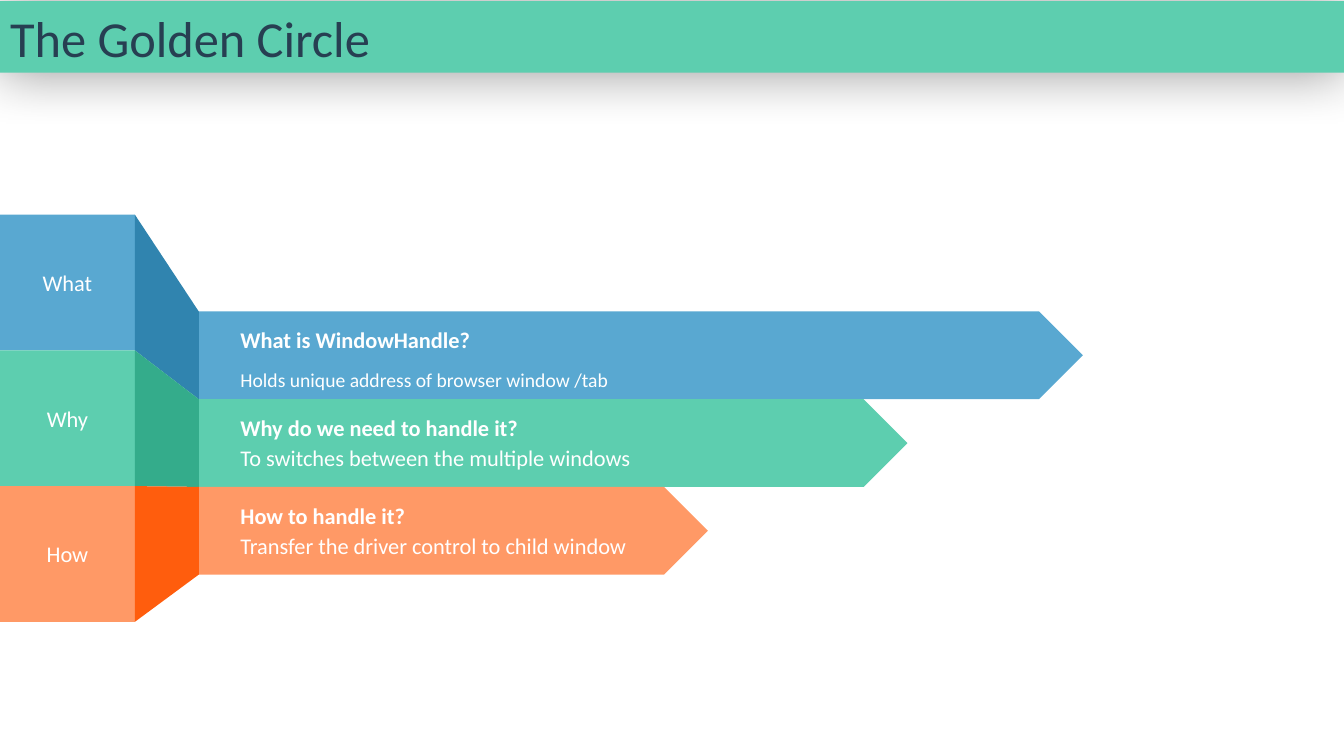
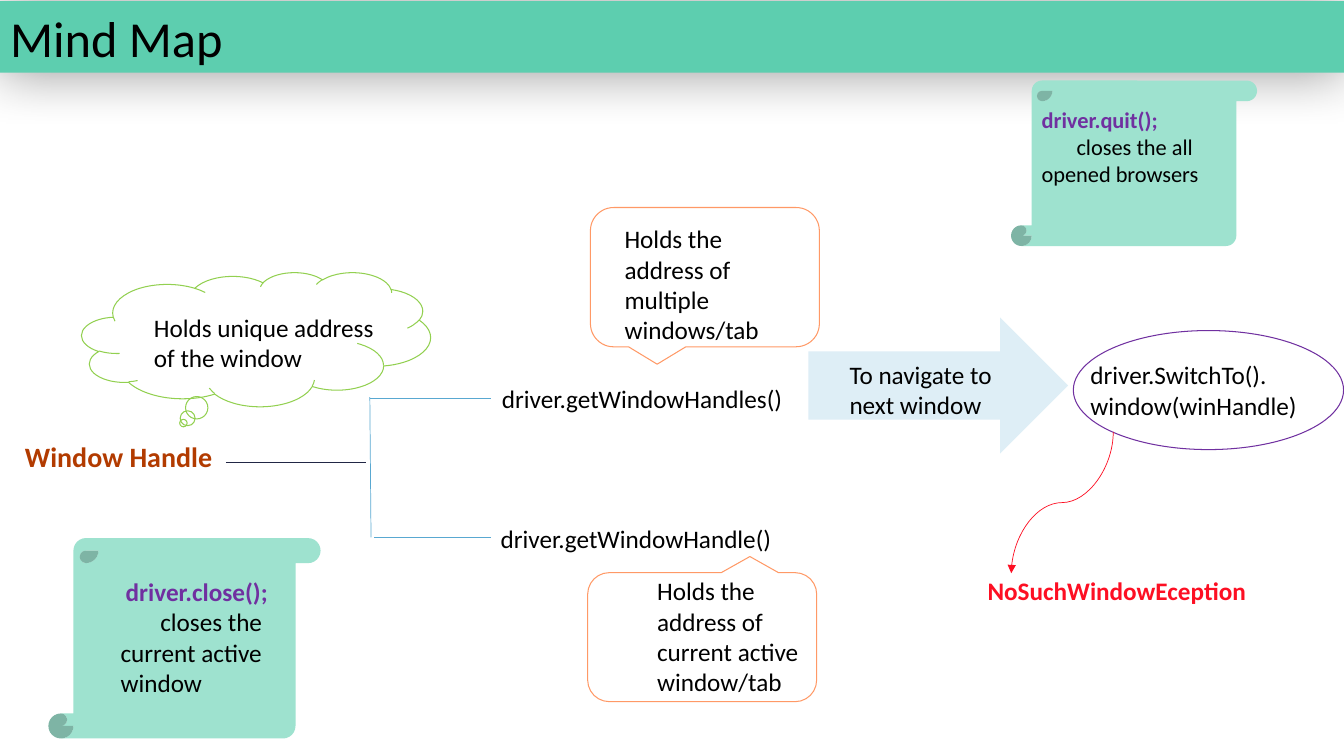
from dataclasses import dataclass
from typing import NamedTuple, Optional

import lxml.etree
import pptx
import pptx.dml.color
import pptx.enum.shapes
import pptx.enum.text
import pptx.oxml.ns
import pptx.presentation
import pptx.shapes.autoshape
import pptx.shapes.base
import pptx.shapes.connector
import pptx.slide
import pptx.text.text
import pptx.util

Cm = pptx.util.Cm
Pt = pptx.util.Pt
qn = pptx.oxml.ns.qn
FORM = pptx.enum.shapes.MSO_SHAPE
LINK = pptx.enum.shapes.MSO_CONNECTOR
ALIGN = pptx.enum.text.PP_ALIGN
ANCHOR = pptx.enum.text.MSO_ANCHOR
FIT = pptx.enum.text.MSO_AUTO_SIZE

WIDTH, HEIGHT = 33.87, 19.05
FONT = "Calibri"
HUES = {
    "white": "FFFFFF", "black": "000000", "slate": "273F52", "navy": "212745",
    "blue": "59A8D1", "deep blue": "3084AF", "pale blue": "DEEEF6",
    "green": "5DCEAF", "deep green": "34AC8B", "pale green": "9EE2CF",
    "orange": "FF9966", "deep orange": "FF5D0D", "rust": "B23B00",
    "lime": "92D050", "purple": "7030A0", "red": "FD0F23",
}


class Box(NamedTuple):
    left: float
    top: float
    width: float
    height: float


class Para(NamedTuple):
    text: str
    size: float = 18
    hue: str = "black"
    bold: bool = False
    indent: float = 0
    space: float = 1


@dataclass
class Row:
    hue: str
    label: str
    head: str
    body: Para
    drop: float     # from arrow top to body text
    width: float    # arrow width


@dataclass
class Form:
    kind: FORM
    box: Box
    fill: Optional[str] = None
    line: Optional[str] = None
    turn: float = 0


@dataclass
class Note:
    box: Box
    paras: list[Para]


@dataclass
class Wire:
    start: tuple[float, float]
    end: tuple[float, float]
    hue: str = "blue"


# Shared tools
def tint(name: str) -> pptx.dml.color.RGBColor:
    return pptx.dml.color.RGBColor.from_string(HUES[name])


def place(box: Box) -> list[int]:
    return [Cm(side) for side in box]


def write(frame: pptx.text.text.TextFrame, paras: list[Para],
          align: ALIGN = ALIGN.LEFT, anchor: ANCHOR = ANCHOR.TOP) -> None:
    frame.word_wrap = True
    frame.auto_size = FIT.NONE
    frame.vertical_anchor = anchor
    frame.text = "\n".join(para.text for para in paras)
    for item, para in zip(frame.paragraphs, paras):
        item.alignment = align
        item.line_spacing = para.space
        if para.indent:
            item._p.get_or_add_pPr().set("indent", str(Cm(para.indent)))
        for run in item.runs:
            run.font.name = FONT
            run.font.size = Pt(para.size)
            run.font.bold = para.bold
            run.font.color.rgb = tint(para.hue)


def paint(shape: pptx.shapes.autoshape.Shape, fill: Optional[str],
          line: Optional[str] = None) -> None:
    shape.shadow.inherit = False
    if fill:
        shape.fill.solid()
        shape.fill.fore_color.rgb = tint(fill)
    else:
        shape.fill.background()
    if line:
        shape.line.color.rgb = tint(line)
        shape.line.width = Pt(0.75)
    else:
        shape.line.fill.background()


def draw(slide: pptx.slide.Slide, form: Form) -> pptx.shapes.autoshape.Shape:
    shape = slide.shapes.add_shape(form.kind, *place(form.box))
    paint(shape, form.fill, form.line)
    shape.rotation = form.turn
    return shape


def note(slide: pptx.slide.Slide, box: Box, paras: list[Para]) -> None:
    write(slide.shapes.add_textbox(*place(box)).text_frame, paras)


def join(slide: pptx.slide.Slide, wire: Wire,
         kind: LINK = LINK.STRAIGHT) -> pptx.shapes.connector.Connector:
    ends = [Cm(pos) for pos in wire.start + wire.end]
    link = slide.shapes.add_connector(kind, *ends)
    link.line.color.rgb = tint(wire.hue)
    link.line.width = Pt(0.5)
    lxml.etree.SubElement(link._element.spPr, qn("a:effectLst"))
    return link


def start(deck: pptx.presentation.Presentation, title: str,
          hue: str) -> pptx.slide.Slide:
    """Add a slide whose title is a green band with a soft shadow."""
    slide = deck.slides.add_slide(deck.slide_layouts.get_by_name("Title Only"))
    band = slide.shapes.title
    band.left, band.top, band.width, band.height = place(Box(0, 0.03, WIDTH, 1.8))
    paint(band, "green")
    write(band.text_frame, [Para(title, 36, hue)], anchor=ANCHOR.MIDDLE)
    glow = lxml.etree.SubElement(
        band._element.spPr.find(qn("a:effectLst")), qn("a:outerShdw"),
        blurRad=str(Pt(39)), dist="0", dir="0", algn="ctr", rotWithShape="0")
    shade = lxml.etree.SubElement(glow, qn("a:srgbClr"), val=HUES["black"])
    lxml.etree.SubElement(shade, qn("a:alpha"), val="40000")
    return slide


# Slide 1: tabs that fold into arrows
TAB = Box(0, 5.41, 3.4, 3.42)
ARROW_LEFT, ARROW_TOP, ARROW_HIGH = 5.01, 7.85, 2.21
TEXT_LEFT = 5.81
ROWS = [
    Row("blue", "What", "What is WindowHandle?",
        Para("Holds unique address of browser window /tab", 14, "white", space=1.1),
        1.24, 22.28),
    Row("green", "Why", "Why do we need to handle it?",
        Para("To switches between the multiple windows", 16, "white"),
        1.01, 17.86),
    Row("orange", "How", "How to handle it?",
        Para("Transfer the driver control to child window", 16, "white", space=1.1),
        0.96, 12.83),
]


def fold(slide: pptx.slide.Slide, high: float, low: float, hue: str) -> None:
    """Join a tab starting at high to an arrow starting at low."""
    edge = [(TAB.width, high), (ARROW_LEFT, low), (ARROW_LEFT, low + ARROW_HIGH),
            (TAB.width, high + TAB.height)]
    first, *rest = [(Cm(x), Cm(y)) for x, y in edge]
    pen = slide.shapes.build_freeform(*first)
    pen.add_line_segments(rest, close=True)
    paint(pen.convert_to_shape(), "deep " + hue)


def circle(deck: pptx.presentation.Presentation) -> None:
    slide = start(deck, "The Golden Circle", "slate")
    for index, row in enumerate(ROWS):
        high = TAB.top + index * TAB.height
        low = ARROW_TOP + index * ARROW_HIGH
        tab = draw(slide, Form(FORM.RECTANGLE, TAB._replace(top=high), row.hue))
        write(tab.text_frame, [Para(row.label, 16, "white")],
              ALIGN.CENTER, ANCHOR.MIDDLE)
        draw(slide, Form(FORM.PENTAGON,
                         Box(ARROW_LEFT, low, row.width, ARROW_HIGH), row.hue))
        fold(slide, high, low, row.hue)
        note(slide, Box(TEXT_LEFT, low + 0.25, 11, 0.94),
             [Para(row.head, 16, "white", True)])
        note(slide, Box(TEXT_LEFT, low + row.drop, 13.4, 0.94), [row.body])


# Slide 2: map of calls
FORMS = [
    Form(FORM.CLOUD_CALLOUT, Box(2.06, 6.86, 8.79, 3.38), line="lime"),
    Form(FORM.RIGHT_ARROW, Box(20.37, 8, 6.55, 3.43), "pale blue"),
    Form(FORM.ROUNDED_RECTANGULAR_CALLOUT, Box(14.88, 5.23, 5.77, 3.51),
         line="orange"),
    Form(FORM.ROUNDED_RECTANGULAR_CALLOUT, Box(14.81, 14.43, 5.77, 3.25),
         line="orange", turn=180),
    Form(FORM.OVAL, Box(27.05, 8.33, 6.81, 3), line="purple"),
    Form(FORM.VERTICAL_SCROLL, Box(1.22, 13.56, 6.86, 5.05), "pale green"),
]
NOTES = [
    Note(Box(0.38, 10.95, 5.31, 1.12), [Para("Window Handle", 20, "rust", True)]),
    Note(Box(3.63, 7.75, 6.38, 1.8), [Para("Holds unique address of the window")]),
    Note(Box(12.4, 9.53, 7.67, 1.02), [Para("driver.getWindowHandles()")]),
    Note(Box(12.37, 13.06, 7.67, 1.02), [Para("driver.getWindowHandle()")]),
    Note(Box(15.49, 5.51, 4.6, 3.33),
         [Para("Holds the address of multiple windows/tab")]),
    Note(Box(16.31, 14.38, 4.85, 3.33),
         [Para("Holds the address of current active window/tab")]),
    Note(Box(21.16, 8.92, 5.23, 1.8), [Para("To navigate to next window")]),
    Note(Box(27.23, 8.94, 6.3, 1.8),
         [Para("driver.SwitchTo()."), Para("window(winHandle)")]),
    Note(Box(24.64, 14.38, 7.42, 1.02),
         [Para("NoSuchWindowEception", 18, "red", True)]),
    Note(Box(2.79, 14.4, 4.32, 3.61),
         [Para("driver.close();", 18, "purple", True, 0.13),
          Para("closes the current active window", indent=1)]),
]
WIRES = [
    Wire((5.69, 11.66), (9.22, 11.66), "navy"),
    Wire((9.32, 10.01), (9.35, 13.54)),
    Wire((12.37, 10.03), (9.32, 10.03)),
    Wire((12.37, 13.54), (9.42, 13.54)),
]
QUIT = Form(FORM.VERTICAL_SCROLL, Box(25.48, 2.03, 6.2, 4.17), "pale green")
FAIL = Wire((24.99, 11.38), (28.55, 13.95), "red")


def chart(deck: pptx.presentation.Presentation) -> None:
    slide = start(deck, "Mind Map", "black")
    for form in FORMS:
        draw(slide, form)
    for wire in WIRES:
        join(slide, wire)
    for item in NOTES:
        note(slide, item.box, item.paras)
    write(draw(slide, QUIT).text_frame,
          [Para("driver.quit();", 16, "purple", True),
           Para("closes the all opened browsers", 16, indent=0.88)])

    # Curve turned a quarter so that it leaves downwards
    curve = join(slide, FAIL, LINK.CURVE)
    props = curve._element.spPr
    props.find(qn("a:xfrm")).set("rot", "5400000")
    lxml.etree.SubElement(props.find(qn("a:ln")), qn("a:tailEnd"), type="triangle")


def main() -> None:
    deck = pptx.Presentation()
    deck.slide_width, deck.slide_height = Cm(WIDTH), Cm(HEIGHT)
    circle(deck)
    chart(deck)
    deck.save("out.pptx")


if __name__ == "__main__":
    main()
